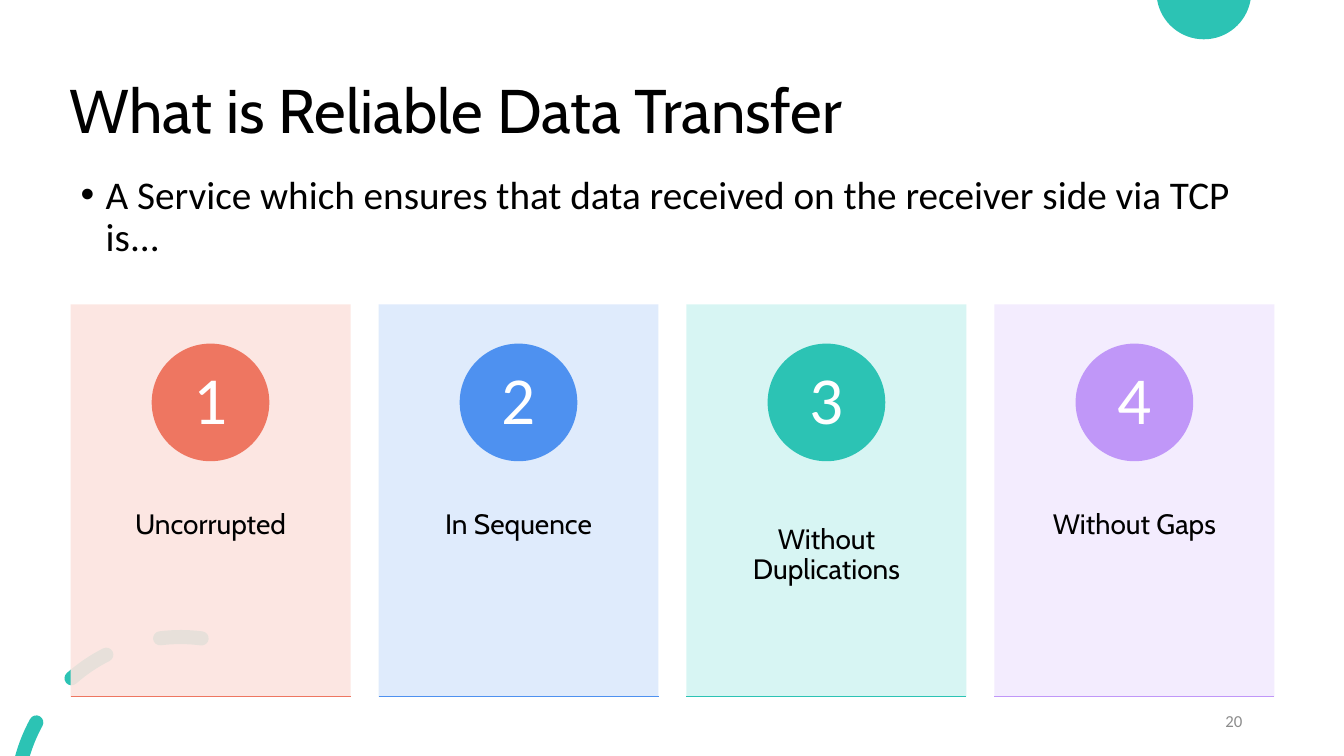
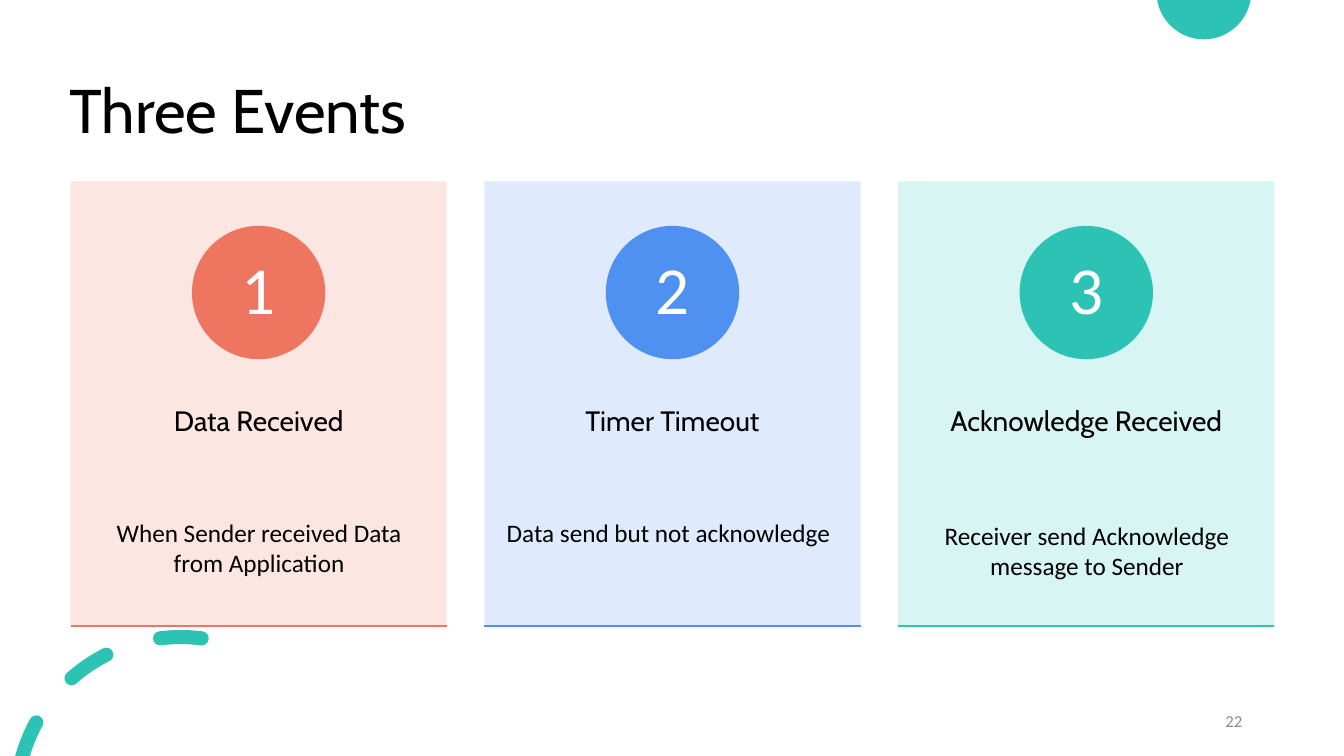
"""Build two slides on reliable data transfer."""
from math import cos, radians, sin, tan

from lxml.etree import SubElement
from pptx import Presentation
from pptx.dml.color import RGBColor
from pptx.enum.shapes import MSO_CONNECTOR, MSO_SHAPE
from pptx.enum.text import MSO_ANCHOR, PP_ALIGN
from pptx.oxml.ns import qn
from pptx.util import Inches, Pt

WIDE, HIGH = 13.33, 7.5
TEAL, BLACK = "2CC3B4", "000000"
PAIRS = [("FCE4DF", "EE7661"), ("DCE9FC", "4E91F0"),
         ("D3F5F2", TEAL), ("F2EAFE", "C097F8")]
LEFT, SPAN, GAP = 0.7, 11.94, 0.1
PADS = (0.1, 0.05, 0.1, 0.05)

TITLE = {"name": "Cabin", "size": Pt(44), "color": BLACK}
LABEL = {"name": "Cabin", "size": Pt(20), "color": BLACK}
COUNT = {"name": "Calibri", "size": Pt(48), "color": "FFFFFF"}
LEAD = {"name": "Calibri", "size": Pt(28), "color": BLACK}
NOTE = {"name": "Calibri", "size": Pt(18), "color": BLACK}
PAGE = {"name": "Calibri", "size": Pt(12), "color": "8C8C8C"}


def tint(code):
    """Turn a hex string into a colour."""
    return RGBColor.from_string(code)


def style(font, look):
    """Set each format value on a font."""
    for key, value in look.items():
        if key == "color":
            font.color.rgb = tint(value)
        else:
            setattr(font, key, value)


def paint(shape, code, alpha=None):
    """Fill a shape without line or shadow."""
    shape.shadow.inherit = False
    shape.fill.solid()
    shape.fill.fore_color.rgb = tint(code)
    shape.line.fill.background()
    if alpha:
        hue = shape.fill._xPr.find(".//" + qn("a:srgbClr"))
        SubElement(hue, qn("a:alpha"), val=str(alpha * 1000))


def write(shape, text, look, align=PP_ALIGN.LEFT, anchor=MSO_ANCHOR.TOP,
          pads=PADS, space=0.9, bullet=False):
    """Put one styled paragraph into a shape."""
    frame = shape.text_frame
    values = {"word_wrap": True, "vertical_anchor": anchor}
    sides = ("margin_left", "margin_top", "margin_right", "margin_bottom")
    values.update(zip(sides, map(Inches, pads)))
    for key, value in values.items():
        setattr(frame, key, value)
    para = frame.paragraphs[0]
    para.alignment, para.line_spacing = align, space
    if bullet:
        props = para._p.get_or_add_pPr()
        props.set("marL", str(Inches(0.25)))
        props.set("indent", str(-Inches(0.25)))
        SubElement(props, qn("a:buFont"), typeface="Arial")
        SubElement(props, qn("a:buChar"), char="•")
    run = para.add_run()
    run.text = text
    style(run.font, look)


def label(slide, spot, text, look, **more):
    """Add a text box at a spot."""
    box = slide.shapes.add_textbox(*map(Inches, spot))
    write(box, text, look, **more)


def point(mid, size, turn):
    """Find a point on a circle, by degrees from the left."""
    turn = radians(turn)
    return mid[0] - size * cos(turn), mid[1] - size * sin(turn)


def arc(mid, size, start, end, parts=1):
    """List the curve points of an arc after its first point."""
    step = (end - start) / parts
    pull = size * 4 / 3 * tan(radians(step) / 4)
    points = []
    for i in range(parts):
        one, two = start + i * step, start + (i + 1) * step
        head, tail = point(mid, size, one), point(mid, size, two)
        points += [point(head, pull, one + 90), point(tail, -pull, two + 90),
                   tail]
    return points


def blob(slide, loops):
    """Draw closed curved loops as one teal shape."""
    pen = None
    for loop in loops:
        spots = [(Inches(x), Inches(y)) for x, y in loop]
        if pen is None:
            pen = slide.shapes.build_freeform(*spots[0], scale=1.0)
        else:
            pen.move_to(*spots[0])
        pen.add_line_segments(spots[1:], close=True)
    shape = pen.convert_to_shape()
    lines = list(shape._element.iter(qn("a:lnTo")))
    for trio in zip(lines[::3], lines[1::3], lines[2::3]):
        curve = trio[0].getparent().makeelement(qn("a:cubicBezTo"))
        trio[0].addprevious(curve)
        for line in trio:
            curve.append(line[0])
            line.getparent().remove(line)
    paint(shape, TEAL)


def dash(start, end, inner=None):
    """Outline one dash of the ring, blunt if inner is set."""
    mid, size, half = (1.79, 7.95), 1.63, 0.07
    points = [point(mid, size + half, start)]
    points += arc(mid, size + half, start, end)
    points += arc(point(mid, size, end), half, end, end + 180, 2)
    points += arc(mid, size - half, end, inner or start)
    if inner is None:
        tail = point(mid, size, start)
        points += arc(tail, half, start + 180, start + 360, 2)
    return points


def base(deck, title, page):
    """Add a slide with the shared parts."""
    slide = deck.slides.add_slide(deck.slide_layouts[6])
    ball = ((11.94, -0.08), 0.47)
    blob(slide, [[point(*ball, -9.8)] + arc(*ball, -9.8, -170.2, 2)])
    blob(slide, [dash(15.35, 28.7, 16.8), dash(48.5, 63.2),
                 dash(82.9, 97.4)])
    label(slide, (0.59, 0.4, 11.5, 1.45), title, TITLE,
          anchor=MSO_ANCHOR.MIDDLE)
    label(slide, (9.42, 6.95, 3, 0.4), str(page), PAGE, space=1,
          align=PP_ALIGN.RIGHT, anchor=MSO_ANCHOR.MIDDLE)
    return slide


def rule(slide, left, top, width, code):
    """Draw a level line."""
    ends = map(Inches, (left, top, left + width, top))
    line = slide.shapes.add_connector(MSO_CONNECTOR.STRAIGHT, *ends)
    line.line.color.rgb = tint(code)
    line.line.width = Pt(1)
    SubElement(line._element.spPr, qn("a:effectLst"))


def card(slide, spot, count, text, pair):
    """Draw a card with its count and label."""
    left, top, width, height = spot
    pale, tone = pair
    pane = slide.shapes.add_shape(MSO_SHAPE.RECTANGLE, *map(Inches, spot))
    paint(pane, pale, 90)
    pad = 0.08 * width
    label(slide, (left, top + 0.38 * height, width, 0.6 * height), text,
          LABEL, align=PP_ALIGN.CENTER, pads=(pad, 1.19, pad, 0.36))
    side = 0.3 * height
    place = (left + (width - side) / 2, top + 0.1 * height, side, side)
    disc = slide.shapes.add_shape(MSO_SHAPE.OVAL, *map(Inches, place))
    paint(disc, tone)
    write(disc, str(count), COUNT, align=PP_ALIGN.CENTER,
          anchor=MSO_ANCHOR.MIDDLE, pads=(0, 0, 0, 0))
    rule(slide, left, top + height, width, tone)


def cards(slide, top, height, names):
    """Share the span among cards."""
    total = len(names)
    width = SPAN / (total + GAP * (total - 1))
    for i, name in enumerate(names):
        left = LEFT + i * width * (1 + GAP)
        card(slide, (left, top, width, height), i + 1, name, PAIRS[i])


def main():
    """Make and save the deck."""
    deck = Presentation()
    deck.slide_width, deck.slide_height = Inches(WIDE), Inches(HIGH)

    slide = base(deck, "What is Reliable Data Transfer", 20)
    cards(slide, 3.02, 3.89, ["Uncorrupted", "In Sequence",
                              "Without Duplications", "Without Gaps"])
    label(slide, (0.7, 1.69, 11.95, 1.07),
          "A Service which ensures that data received on the receiver side "
          "via TCP is...", LEAD, bullet=True)

    slide = base(deck, "Three Events", 22)
    cards(slide, 1.8, 4.41, ["Data Received", "Timer Timeout",
                             "Acknowledge Received"])
    notes = [(0.83, 5.08, "When Sender received Data from Application"),
             (4.89, 5.08, "Data send but not acknowledge"),
             (9.04, 5.11, "Receiver send Acknowledge message to Sender")]
    for left, top, text in notes:
        label(slide, (left, top, 3.48, 0.71), text, NOTE,
              align=PP_ALIGN.CENTER, space=1)

    deck.save("out.pptx")


if __name__ == "__main__":
    main()
